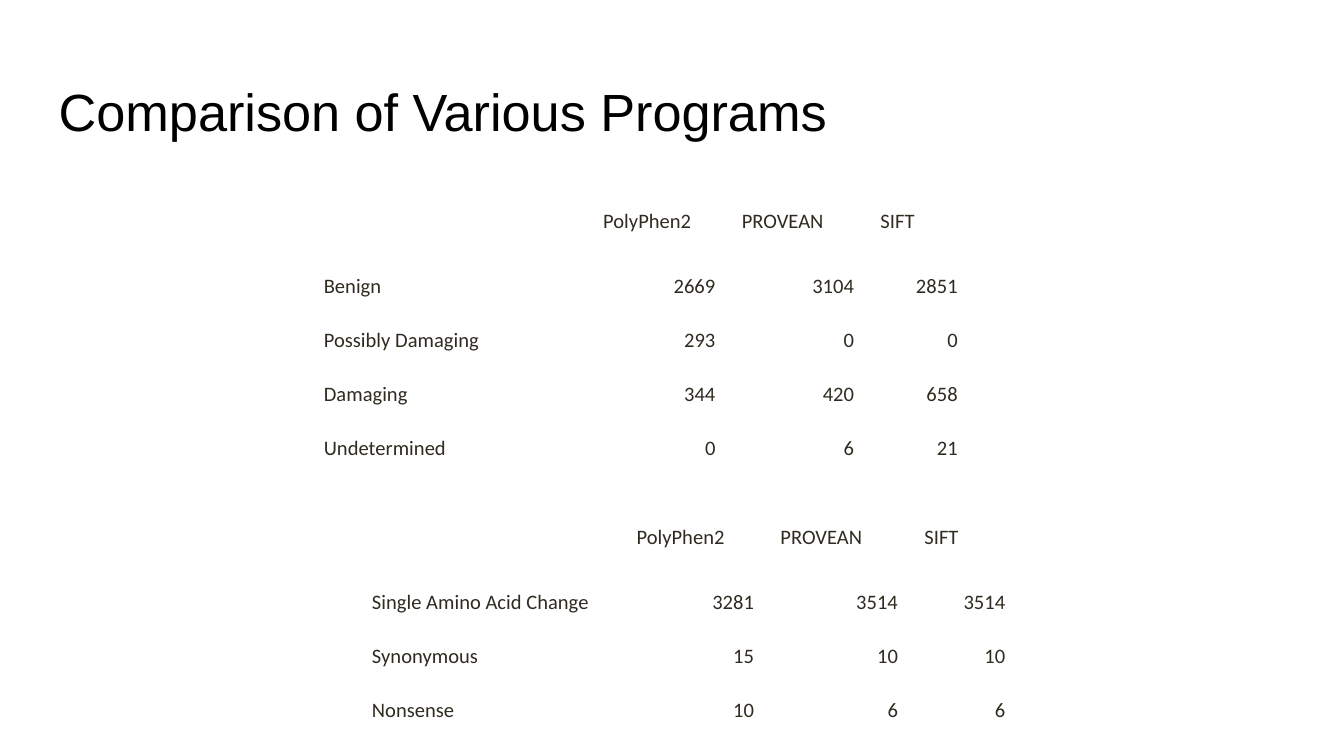
from pptx import Presentation
from pptx.dml.color import RGBColor
from pptx.enum.text import MSO_ANCHOR, MSO_AUTO_SIZE, PP_ALIGN
from pptx.util import Cm, Pt

LEFT, RIGHT = PP_ALIGN.LEFT, PP_ALIGN.RIGHT
TOP = MSO_ANCHOR.TOP
NO_AUTOFIT = MSO_AUTO_SIZE.NONE

TITLE_ONLY = 5
INSET = Cm(0.25)
HEADER_HEIGHT, ROW_HEIGHT = 1.23, 1.02
PROGRAMS = ["", "PolyPhen2", "PROVEAN", "SIFT"]

EFFECTS = [
    PROGRAMS,
    ["Benign", "2669", "3104", "2851"],
    ["Possibly Damaging", "293", "0", "0"],
    ["Damaging", "344", "420", "658"],
    ["Undetermined", "0", "6", "21"],
]
CHANGES = [
    PROGRAMS,
    ["Single Amino Acid Change", "3281", "3514", "3514"],
    ["Synonymous", "15", "10", "10"],
    ["Nonsense", "10", "6", "6"],
]


def color(hex_string):
    return RGBColor.from_string(hex_string)


def write_text(frame, text, *, size, font, ink, align=LEFT, spacing=1.0):
    para = frame.paragraphs[0]
    para.alignment = align
    para.line_spacing = spacing
    span = para.add_run()
    span.text = text
    span.font.size = Pt(size)
    span.font.name = font
    span.font.color.rgb = color(ink)


def place_title(page, box, text):
    title = page.shapes.title
    title.left, title.top, title.width, title.height = map(Cm, box)
    frame = title.text_frame
    frame.auto_size = NO_AUTOFIT
    frame.vertical_anchor = TOP
    frame.margin_left = frame.margin_right = INSET
    frame.margin_top = frame.margin_bottom = INSET
    write_text(frame, text, size=28, font="Arial", ink="000000")


def place_table(page, left, top, widths, rows, fill=None):
    heights = [HEADER_HEIGHT] + [ROW_HEIGHT] * (len(rows) - 1)
    table = page.shapes.add_table(
        len(rows), len(widths), Cm(left), Cm(top), Cm(sum(widths)), Cm(sum(heights))
    ).table
    table.first_row = table.horz_banding = False
    for column, width in zip(table.columns, widths):
        column.width = Cm(width)
    for row, height in zip(table.rows, heights):
        row.height = Cm(height)

    for r, texts in enumerate(rows):
        for c, text in enumerate(texts):
            cell = table.cell(r, c)
            cell.margin_left = cell.margin_right = INSET
            cell.margin_top = cell.margin_bottom = INSET
            if fill:
                cell.fill.solid()
                cell.fill.fore_color.rgb = color(fill)
            else:
                cell.fill.background()
            # Only the figures are right-aligned
            write_text(cell.text_frame, text, size=11, font="Calibri", ink="2F2B20",
                       align=RIGHT if r and c else LEFT, spacing=1.07)


def main():
    deck = Presentation()
    deck.slide_width, deck.slide_height = Cm(25.4), Cm(14.28)
    page = deck.slides.add_slide(deck.slide_layouts[TITLE_ONLY])

    place_title(page, (0.86, 1.24, 23.67, 1.6), "Comparison of Various Programs")
    # Predicted effects
    place_table(page, 5.87, 3.66, [5.28, 2.62, 2.62, 1.96], EFFECTS, fill="FFFFFF")
    # Kinds of change
    place_table(page, 6.78, 9.63, [5.0, 2.72, 2.72, 2.03], CHANGES)

    deck.save("out.pptx")


if __name__ == "__main__":
    main()
